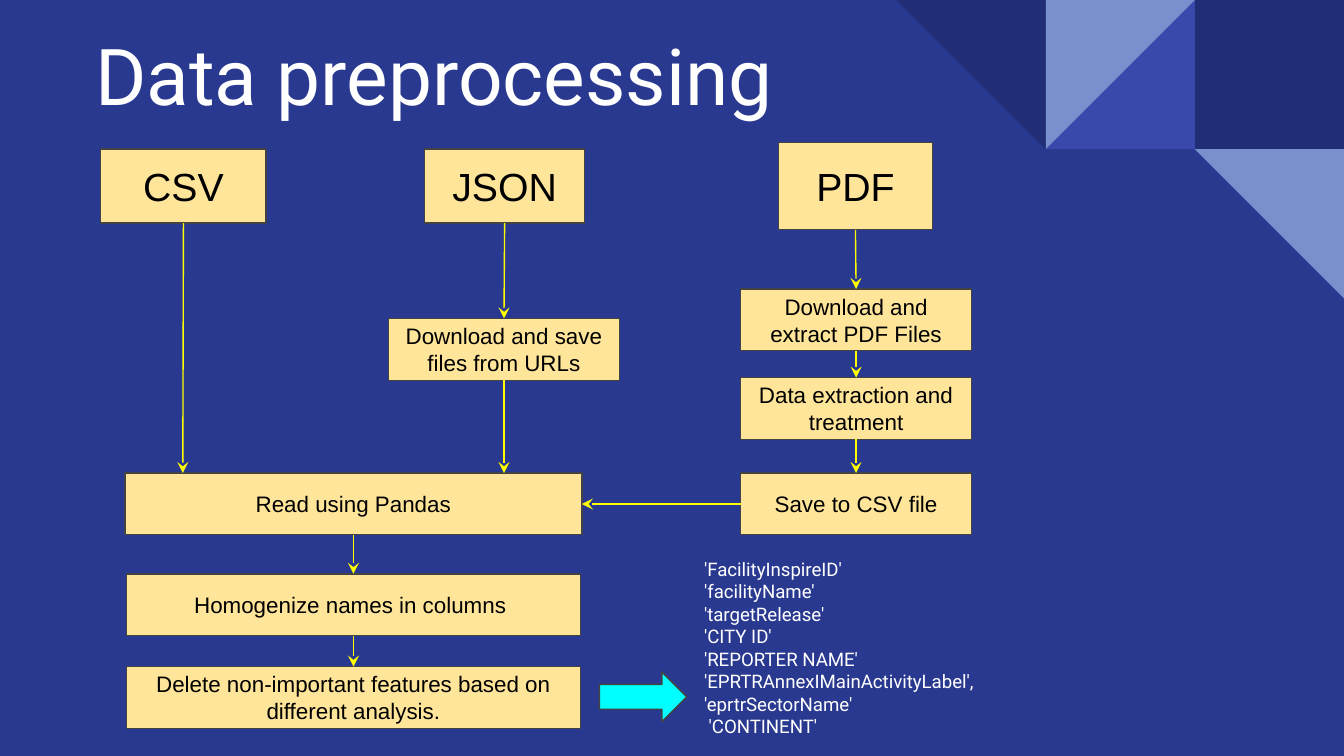
from itertools import pairwise

from lxml import etree
from pptx import Presentation, util as u
from pptx.dml.color import RGBColor
from pptx.enum import shapes, text
from pptx.oxml.ns import qn

NAVY, INDIGO, SKY, PAGE_BLUE = "212D74", "3949AB", "7890CD", "2A3990"
SAND, CYAN, YELLOW, GREY = "FFE599", "00FFFF", "FFFF00", "434343"
WHITE, BLACK = "FFFFFF", "000000"

TOP, LEFT, BOTTOM, RIGHT = range(4)
STEP_HEIGHT = 0.46
FEATURES = [
    "'FacilityInspireID'",
    "'facilityName'",
    "'targetRelease'",
    "'CITY ID'",
    "'REPORTER NAME'\v'EPRTRAnnexIMainActivityLabel',",
    "'eprtrSectorName'",
    " 'CONTINENT'",
]


def colour(value):
    return RGBColor.from_string(value)


def add_preset(page, kind, left, top, width, height, fill, line=None):
    shape = page.shapes.add_shape(
        kind, u.Inches(left), u.Inches(top), u.Inches(width), u.Inches(height))
    shape.shadow.inherit = False
    shape.fill.solid()
    shape.fill.fore_color.rgb = colour(fill)
    if line:
        shape.line.color.rgb = colour(line)
        shape.line.width = u.Pt(0.75)
    else:
        shape.line.fill.background()
    return shape


def write(shape, words, size, font, ink, align, anchor):
    frame = shape.text_frame
    frame.word_wrap = True
    frame.vertical_anchor = anchor
    frame.margin_left = frame.margin_right = u.Inches(0.1)
    frame.margin_top = frame.margin_bottom = u.Inches(0.1)
    frame.text = words
    for para in frame.paragraphs:
        para.alignment = align
        for span in para.runs:
            span.font.size = u.Pt(size)
            span.font.name = font
            span.font.color.rgb = colour(ink)


def add_text(page, words, left, top, width, height, size, anchor):
    box = page.shapes.add_textbox(
        u.Inches(left), u.Inches(top), u.Inches(width), u.Inches(height))
    write(box, words, size, "Roboto", WHITE, text.PP_ALIGN.LEFT, anchor)


def add_box(page, words, left, top, width, height=STEP_HEIGHT, size=12):
    box = add_preset(page, shapes.MSO_SHAPE.RECTANGLE,
                     left, top, width, height, SAND, GREY)
    write(box, words, size, "Arial", BLACK,
          text.PP_ALIGN.CENTER, text.MSO_ANCHOR.MIDDLE)
    return box


def add_arrow(page, start, start_side, end=None, end_side=TOP, tip=(0, 0)):
    """Join two boxes, or run from a box to the free point tip."""
    x, y = (u.Inches(value) for value in tip)
    arrow = page.shapes.add_connector(shapes.MSO_CONNECTOR.STRAIGHT, x, y, x, y)
    arrow.begin_connect(start, start_side)
    if end is not None:
        arrow.end_connect(end, end_side)
    arrow.line.color.rgb = colour(YELLOW)
    arrow.line.width = u.Pt(0.75)
    etree.SubElement(arrow.line._get_or_add_ln(), qn("a:tailEnd"), type="stealth")
    etree.SubElement(arrow._element.spPr, qn("a:effectLst"))


def add_corner_pattern(page, left, top, side):
    """Tiles on a square grid: column, row, turn of the triangle, fill."""
    add_preset(page, shapes.MSO_SHAPE.RECTANGLE,
               left + 2 * side, top, side, side, NAVY)
    for column, row, turn, fill in [(1, 0, 270, INDIGO), (1, 0, 90, SKY),
                                    (0, 0, 180, NAVY), (2, 1, 180, SKY)]:
        triangle = add_preset(page, shapes.MSO_SHAPE.RIGHT_TRIANGLE,
                              left + column * side, top + row * side,
                              side, side, fill)
        triangle.rotation = turn


def add_flowchart(page, left, top):
    def place(words, x, y, *size):
        return add_box(page, words, left + x, top + y, *size)

    csv = place("CSV", 0, 0.05, 1.23, 0.55, 21)
    json = place("JSON", 2.41, 0.05, 1.19, 0.55, 21)
    pdf = place("PDF", 5.04, 0, 1.15, 0.65, 21)

    download = place("Download and save files from URLs", 2.14, 1.31, 1.72)
    read = place("Read using Pandas", 0.18, 2.46, 3.4)
    homogenize = place("Homogenize names in columns ", 0.19, 3.21, 3.38)
    delete = place("Delete non-important features based on different analysis.",
                   0.19, 3.9, 3.38)
    pdf_steps = [place(words, 4.76, y, 1.72) for words, y in [
        ("Download and extract PDF Files", 1.09),
        ("Data extraction and treatment", 1.75),
        ("Save to CSV file", 2.46)]]

    for chain in ([json, download], [pdf, *pdf_steps], [read, homogenize, delete]):
        for upper, lower in pairwise(chain):
            add_arrow(page, upper, BOTTOM, lower)
    for source, x in [(csv, 0.61), (download, 3.0)]:
        add_arrow(page, source, BOTTOM, tip=(left + x, top + 2.46))
    add_arrow(page, pdf_steps[-1], LEFT, read, RIGHT)

    add_preset(page, shapes.MSO_SHAPE.RIGHT_ARROW,
               left + 3.71, top + 3.94, 0.65, 0.37, CYAN, GREY)


def main():
    deck = Presentation()
    deck.slide_width = u.Inches(10)
    deck.slide_height = deck.slide_width * 9 // 16
    page = deck.slides.add_slide(deck.slide_layouts[6])
    page.background.fill.solid()
    page.background.fill.fore_color.rgb = colour(PAGE_BLUE)

    add_corner_pattern(page, 6.67, 0, 1.11)
    add_text(page, "Data preprocessing", 0.61, 0.08, 8.99, 0.92, 42,
             text.MSO_ANCHOR.BOTTOM)
    add_flowchart(page, 0.75, 1.06)
    add_text(page, "\n".join(FEATURES), 5.14, 4.05, 2.38, 1.55, 10,
             text.MSO_ANCHOR.TOP)
    deck.save("out.pptx")


if __name__ == "__main__":
    main()
